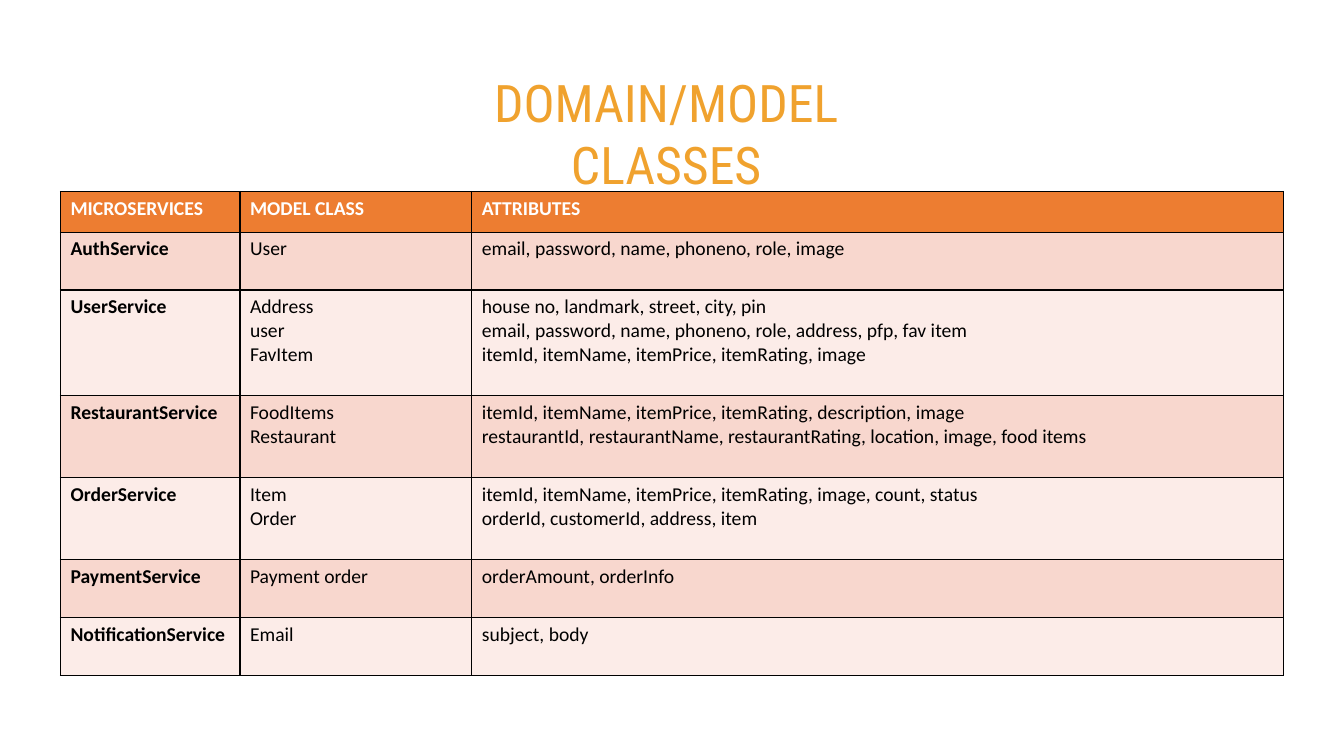
from dataclasses import dataclass

import lxml.etree
import pptx
import pptx.dml.color
import pptx.enum.text
import pptx.oxml.ns
import pptx.util

Pt = pptx.util.Pt


@dataclass(frozen=True)
class Theme:
    title_font: str = "Roboto Condensed"
    title_size: float = 37
    title_color: str = "F0A22E"
    table_font: str = "Calibri"
    table_size: float = 14
    header_text: str = "FFFFFF"
    body_text: str = "000000"
    header_fill: str = "ED7D31"
    band_fills: tuple = ("F8D7CE", "FCECE8")
    border_color: str = "000000"
    border_width: float = 1


THEME = Theme()
COLUMN_WIDTHS = (128.2, 165.6, 579.6)
HEADER_HEIGHT = 29
ROW_PADDING = 24.3
LINE_HEIGHT = 17.1

HEADERS = ("MICROSERVICES", "MODEL CLASS", "ATTRIBUTES")
SERVICES = (
    ("AuthService", "User", "email, password, name, phoneno, role, image"),
    (
        "UserService",
        "Address\nuser\nFavItem",
        "house no, landmark, street, city, pin\n"
        "email, password, name, phoneno, role, address, pfp, fav item\n"
        "itemId, itemName, itemPrice, itemRating, image",
    ),
    (
        "RestaurantService",
        "FoodItems\nRestaurant",
        "itemId, itemName, itemPrice, itemRating, description, image\n"
        "restaurantId, restaurantName, restaurantRating, location, image, food items",
    ),
    (
        "OrderService",
        "Item\nOrder",
        "itemId, itemName, itemPrice, itemRating, image, count, status\n"
        "orderId, customerId, address, item",
    ),
    ("PaymentService", "Payment order", "orderAmount, orderInfo"),
    ("NotificationService", "Email", "subject, body"),
)


def rgb(value):
    return pptx.dml.color.RGBColor.from_string(value)


def style_font(font, name, size, color, bold=False):
    font.name = name
    font.size = Pt(size)
    font.bold = bold
    font.color.rgb = rgb(color)


def add_title(page, text):
    title = page.shapes.title
    title.left, title.top, title.width, title.height = map(Pt, (316, 46.8, 319.7, 64))
    frame = title.text_frame
    frame.text = text
    frame.word_wrap = True
    frame.auto_size = pptx.enum.text.MSO_AUTO_SIZE.NONE
    frame.vertical_anchor = pptx.enum.text.MSO_ANCHOR.TOP
    para = frame.paragraphs[0]
    para.alignment = pptx.enum.text.PP_ALIGN.CENTER
    style_font(para.font, THEME.title_font, THEME.title_size, THEME.title_color)


def add_borders(cell):
    """Draw all four sides; call before filling, as lines precede the fill in XML."""
    qn = pptx.oxml.ns.qn
    properties = cell._tc.get_or_add_tcPr()
    for side in ("a:lnL", "a:lnR", "a:lnT", "a:lnB"):
        line = lxml.etree.SubElement(properties, qn(side), w=str(Pt(THEME.border_width)))
        fill = lxml.etree.SubElement(line, qn("a:solidFill"))
        lxml.etree.SubElement(fill, qn("a:srgbClr"), val=THEME.border_color)


def fill_cell(cell, text, fill, color, bold):
    add_borders(cell)
    cell.fill.solid()
    cell.fill.fore_color.rgb = rgb(fill)
    cell.text = text
    for para in cell.text_frame.paragraphs:
        style_font(para.font, THEME.table_font, THEME.table_size, color, bold)


def row_height(texts):
    lines = max(text.count("\n") + 1 for text in texts)
    return ROW_PADDING + LINE_HEIGHT * lines


def add_service_table(page):
    heights = [HEADER_HEIGHT] + [row_height(service) for service in SERVICES]
    table = page.shapes.add_table(
        len(heights), len(HEADERS),
        Pt(43.2), Pt(136.8), Pt(sum(COLUMN_WIDTHS)), Pt(sum(heights)),
    ).table
    for column, width in zip(table.columns, COLUMN_WIDTHS):
        column.width = Pt(width)
    for row, height in zip(table.rows, heights):
        row.height = Pt(height)

    for index, header in enumerate(HEADERS):
        fill_cell(table.cell(0, index), header, THEME.header_fill, THEME.header_text, True)
    for number, service in enumerate(SERVICES):
        band = THEME.band_fills[number % 2]
        for index, text in enumerate(service):
            fill_cell(table.cell(number + 1, index), text, band, THEME.body_text, index == 0)


def main():
    deck = pptx.Presentation()
    deck.slide_width, deck.slide_height = Pt(960), Pt(540)
    page = deck.slides.add_slide(deck.slide_layouts.get_by_name("Title Only"))
    add_service_table(page)
    add_title(page, "DOMAIN/MODEL CLASSES")
    deck.save("out.pptx")


if __name__ == "__main__":
    main()
